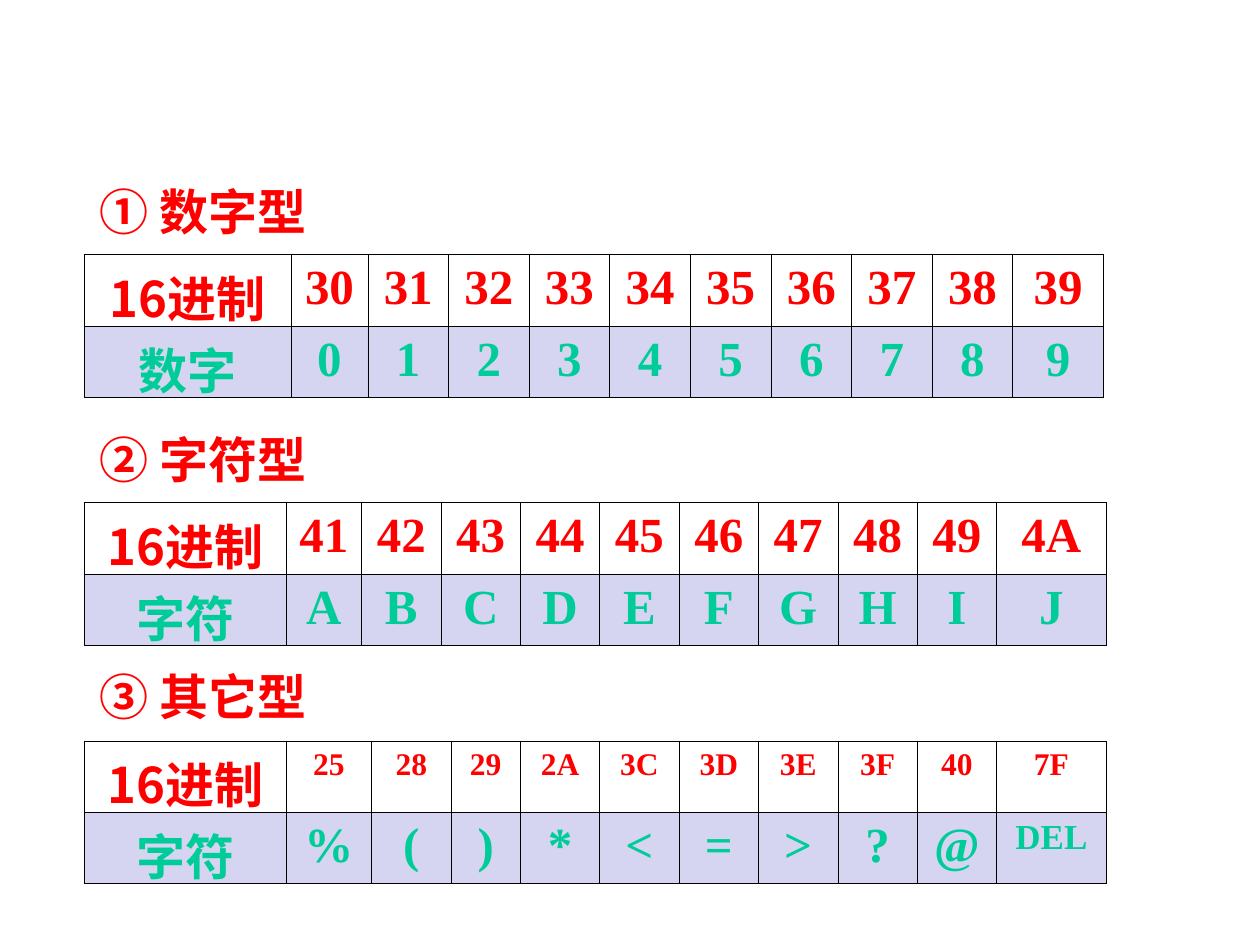
from lxml import etree
from pptx import Presentation
from pptx.dml.color import RGBColor
from pptx.enum.text import MSO_AUTO_SIZE, PP_ALIGN
from pptx.oxml.ns import qn
from pptx.util import Inches, Pt

CENTER = PP_ALIGN.CENTER
LEFT = PP_ALIGN.LEFT
GROW = MSO_AUTO_SIZE.SHAPE_TO_FIT_TEXT
RED = RGBColor(0xFF, 0x00, 0x00)
GREEN = RGBColor(0x00, 0xCC, 0x99)
BLUE = RGBColor(0x2D, 0x2D, 0xB9)
BLACK = RGBColor(0x00, 0x00, 0x00)
CHINESE = "Noto Sans CJK SC"
LATIN = "Times New Roman"
BLANK_LAYOUT = 6


class CodeTablePage:
    """Holds the style and the current slide of the character code tables."""

    width, height = 10, 7.5
    table_left = 0.067
    heading_left = 0.069
    heading_width = 0.184
    row_height = 0.0755
    text_size = 28

    def __init__(self, deck):
        deck.slide_width = Inches(self.width)
        deck.slide_height = Inches(self.height)
        self.page = deck.slides.add_slide(deck.slide_layouts[BLANK_LAYOUT])

    def across(self, share):
        return Inches(self.width * share)

    def down(self, share):
        return Inches(self.height * share)

    def style_text(self, para, text, face, size, color, align):
        para.text = text
        para.alignment = align
        font = para.font
        font.name, font.size, font.bold = face, Pt(size), True
        font.color.rgb = color
        defaults = para._p.pPr.find(qn("a:defRPr"))
        etree.SubElement(defaults, qn("a:ea"), typeface=face)

    def heading(self, text, top):
        box = self.page.shapes.add_textbox(
            self.across(self.heading_left), self.down(top),
            self.across(self.heading_width), self.down(self.row_height))
        frame = box.text_frame
        frame.word_wrap = False
        frame.auto_size = GROW
        self.style_text(frame.paragraphs[0], text, CHINESE, self.text_size, RED, LEFT)

    def border(self, cell):
        properties = cell._tc.get_or_add_tcPr()
        for index, side in enumerate(("lnL", "lnR", "lnT", "lnB")):
            line = etree.Element(qn(f"a:{side}"), w=str(Pt(0.45)))
            fill = etree.SubElement(line, qn("a:solidFill"))
            etree.SubElement(fill, qn("a:srgbClr"), val=str(BLACK))
            properties.insert(index, line)

    def shade(self, cell):
        cell.fill.solid()
        cell.fill.fore_color.rgb = BLUE
        color = cell._tc.tcPr.find(qn("a:solidFill")).find(qn("a:srgbClr"))
        etree.SubElement(color, qn("a:alpha"), val="20000")

    def table(self, top, widths, rows, sizes):
        frame = self.page.shapes.add_table(
            len(rows), len(widths), self.across(self.table_left), self.down(top),
            Inches(sum(widths)), self.down(self.row_height * len(rows)))
        table = frame.table
        table.first_row = table.horz_banding = False
        for column, width in zip(table.columns, widths):
            column.width = Inches(width)
        for row, (texts, color) in enumerate(zip(rows, (RED, GREEN))):
            for column, text in enumerate(texts):
                cell = table.cell(row, column)
                if row:
                    self.shade(cell)
                else:
                    cell.fill.background()
                self.border(cell)
                face = LATIN if column else CHINESE
                size = sizes.get((row, text), self.text_size)
                self.style_text(cell.text_frame.paragraphs[0], text, face, size, color, CENTER)


def main():
    deck = Presentation()
    page = CodeTablePage(deck)
    other_codes = ["25", "28", "29", "2A", "3C", "3D", "3E", "3F", "40", "7F"]
    small = {(0, code): 18 for code in other_codes} | {(1, "DEL"): 20}
    sections = [
        ("① 数字型", 1.39, 2.02, [1.64, 0.61] + [0.64] * 8 + [0.72], "数字",
         [str(code) for code in range(30, 40)], list("0123456789"), {}),
        ("② 字符型", 3.36, 3.99, [1.6, 0.6] + [0.63] * 8 + [0.87], "字符",
         [str(code) for code in range(41, 50)] + ["4A"], list("ABCDEFGHIJ"), {}),
        ("③ 其它型", 5.24, 5.88, [1.6, 0.68, 0.63, 0.55] + [0.63] * 6 + [0.87], "字符",
         other_codes, list("%()*<=>?@") + ["DEL"], small),
    ]
    for title, title_top, table_top, widths, label, codes, signs, sizes in sections:
        page.heading(title, title_top / page.height)
        page.table(table_top / page.height, widths,
                   [["16进制"] + codes, [label] + signs], sizes)
    deck.save("out.pptx")


if __name__ == "__main__":
    main()
